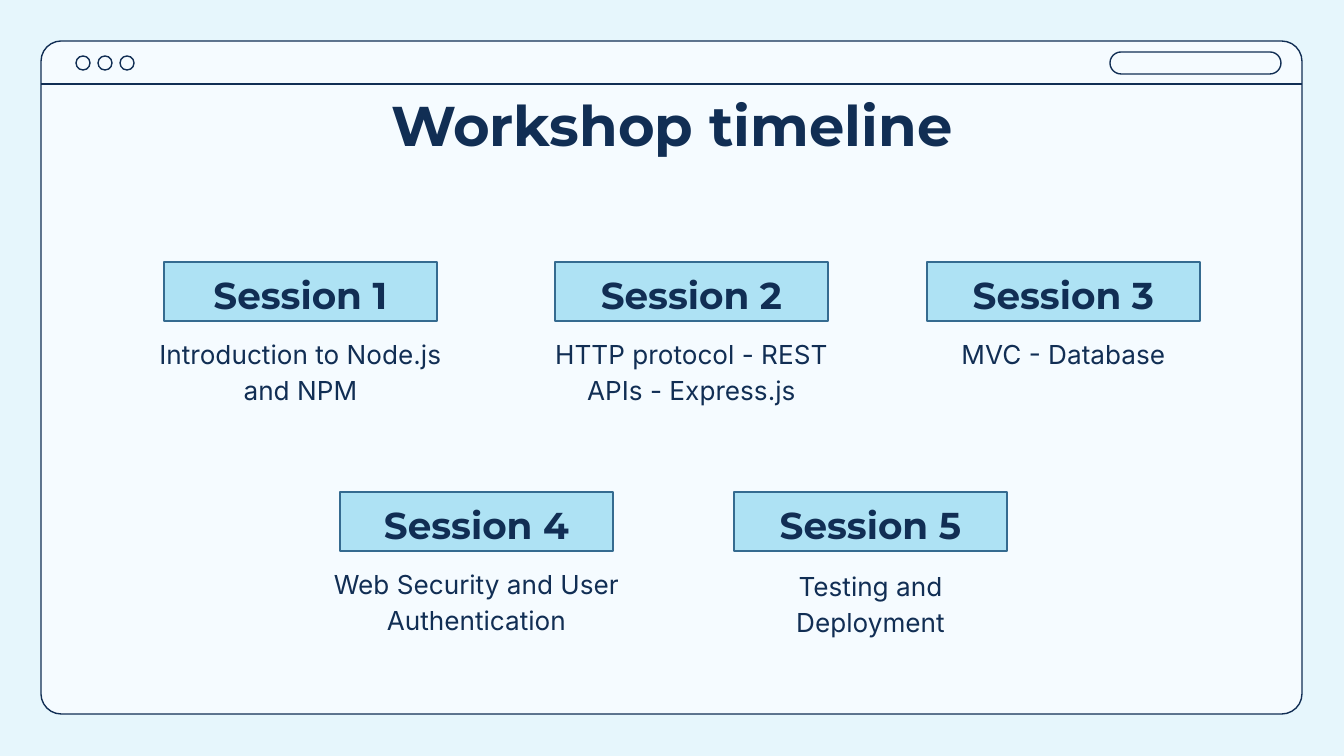
"""Build the workshop timeline slide: a browser window holding five sessions."""
from pptx import Presentation
from pptx.dml.color import RGBColor
from pptx.enum.shapes import MSO_CONNECTOR, MSO_SHAPE as SHAPE
from pptx.enum.text import MSO_ANCHOR as ANCHOR, MSO_AUTO_SIZE, PP_ALIGN
from pptx.oxml.ns import qn
from pptx.util import Emu, Inches, Pt

TITLE = "Workshop timeline"
# (box left, caption width, caption height, caption drop, heading, caption)
ROWS = [
    (262, [
        (164, 313, 79, 58, "Session 1", "Introduction to Node.js and NPM"),
        (555, 362, 136, 58, "Session 2", "HTTP protocol - REST APIs - Express.js"),
        (927, 273, 79, 58, "Session 3", "MVC - Database"),
    ]),
    (492, [
        (340, 328, 79, 58, "Session 4", "Web Security and User Authentication"),
        (734, 321, 79, 60, "Session 5", "Testing and Deployment"),
    ]),
]
NAVY, EDGE, SKY, PAPER, BACK = "112E54", "356B90", "AEE2F4", "F5FBFF", "E6F6FC"
BOX_W, BOX_H = 273, 59
WIN_X, WIN_Y, WIN_W, WIN_H, BAR_Y = 41, 41, 1261, 673, 84


def px(n):
    return Emu(round(n * 914400 / 134.4))


def color(value):
    return RGBColor.from_string(value)


def add_shape(s, kind, box, line, fill=None, adj=None):
    sp = s.shapes.add_shape(kind, *map(px, box))
    sp.shadow.inherit = False
    if fill:
        sp.fill.solid()
        sp.fill.fore_color.rgb = color(fill)
    else:
        sp.fill.background()
    sp.line.color.rgb = color(line)
    sp.line.width = Pt(0.75)
    if adj is not None:
        sp.adjustments[0] = adj
    return sp


def write(sp, text, font, size, bold=False, anchor=ANCHOR.TOP, spacing=1.15):
    tf = sp.text_frame
    tf.text = text
    tf.word_wrap = True
    tf.auto_size = MSO_AUTO_SIZE.NONE
    tf.vertical_anchor = anchor
    tf.margin_left = tf.margin_right = tf.margin_top = tf.margin_bottom = Inches(0.1)
    p = tf.paragraphs[0]
    p.alignment = PP_ALIGN.CENTER
    p.line_spacing = spacing
    p.font.name, p.font.size, p.font.bold = font, Pt(size), bold
    p.font.color.rgb = color(NAVY)


def add_window(s):
    add_shape(s, SHAPE.ROUNDED_RECTANGLE, (WIN_X, WIN_Y, WIN_W, WIN_H), NAVY, PAPER, 0.03)
    for i in range(3):
        add_shape(s, SHAPE.OVAL, (76 + 22 * i, 56, 14, 14), NAVY)
    add_shape(s, SHAPE.ROUNDED_RECTANGLE, (1110, 52, 171, 22), NAVY, adj=0.5)
    bar = s.shapes.add_connector(
        MSO_CONNECTOR.STRAIGHT, px(WIN_X), px(BAR_Y), px(WIN_X + WIN_W), px(BAR_Y))
    bar.line.color.rgb = color(NAVY)
    bar.line.width = Pt(0.75)
    sp_pr = bar.element.spPr
    sp_pr.append(sp_pr.makeelement(qn("a:effectLst"), {}))


def add_session(s, top, left, width, height, drop, heading, caption):
    x = left + (BOX_W - width) / 2
    text = s.shapes.add_textbox(*map(px, (x, top + drop, width, height)))
    write(text, caption, "Inter", 14)
    box = add_shape(s, SHAPE.RECTANGLE, (left, top, BOX_W, BOX_H), EDGE, SKY)
    write(box, heading, "Montserrat", 20, True, ANCHOR.MIDDLE)


def main():
    prs = Presentation()
    prs.slide_width, prs.slide_height = px(1344), px(756)
    s = prs.slides.add_slide(prs.slide_layouts[5])
    s.background.fill.solid()
    s.background.fill.fore_color.rgb = color(BACK)

    add_window(s)
    for top, sessions in ROWS:
        for session in sessions:
            add_session(s, top, *session)

    title = s.shapes.title
    title.left, title.top, title.width, title.height = map(px, (106, 77, 1132, 85))
    write(title, TITLE, "Montserrat", 30, True, spacing=1.0)
    title.element.getparent().append(title.element)
    prs.save("out.pptx")


if __name__ == "__main__":
    main()
